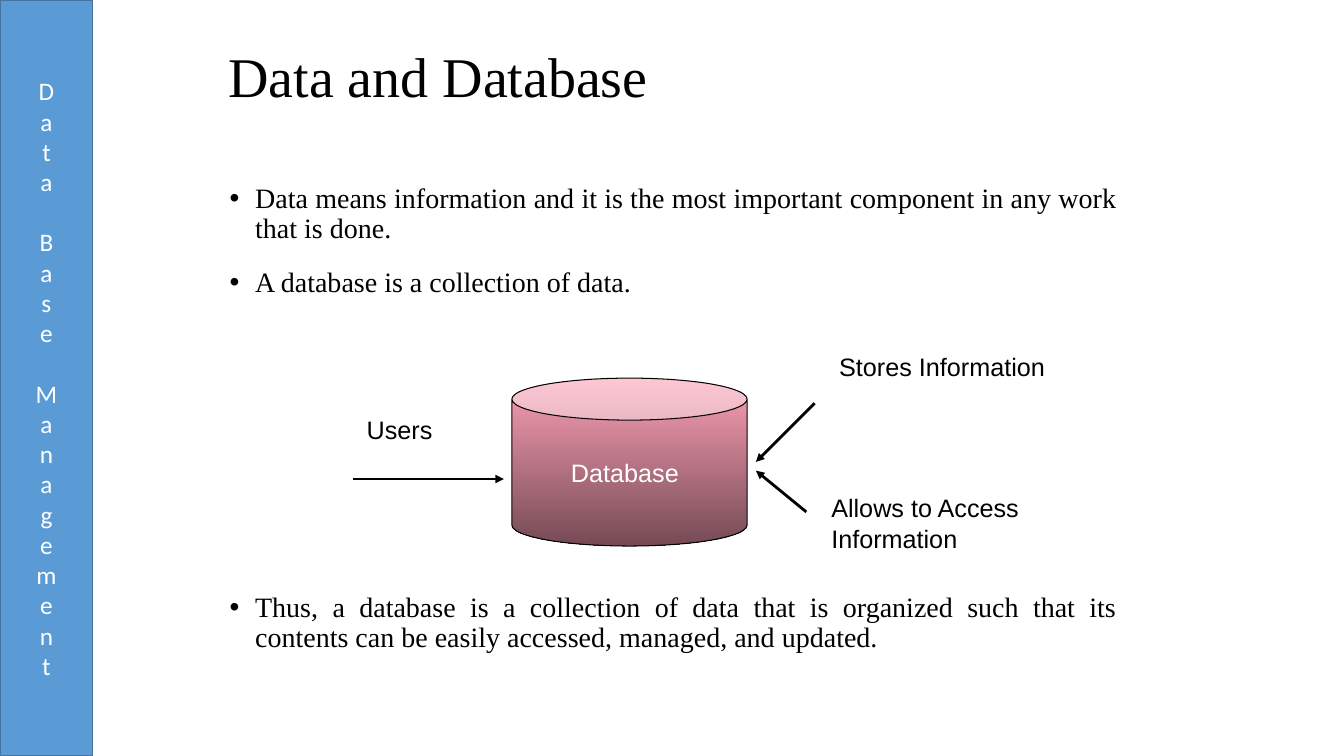
from lxml import etree
from pptx import Presentation
from pptx.dml.color import RGBColor
from pptx.enum.shapes import MSO_CONNECTOR, MSO_SHAPE
from pptx.enum.text import MSO_ANCHOR, PP_ALIGN
from pptx.oxml.ns import qn
from pptx.util import Cm, Pt

RECTANGLE, CAN = MSO_SHAPE.RECTANGLE, MSO_SHAPE.CAN
STRAIGHT = MSO_CONNECTOR.STRAIGHT
TOP, MIDDLE = MSO_ANCHOR.TOP, MSO_ANCHOR.MIDDLE
LEFT, CENTER, JUSTIFY = PP_ALIGN.LEFT, PP_ALIGN.CENTER, PP_ALIGN.JUSTIFY

BLACK = RGBColor(0x00, 0x00, 0x00)
WHITE = RGBColor(0xFF, 0xFF, 0xFF)
BLUE = RGBColor(0x5B, 0x9B, 0xD5)
DARK_BLUE = RGBColor(0x43, 0x73, 0x9E)
PINK = RGBColor(0xFC, 0xA0, 0xB6)
PLUM = RGBColor(0x75, 0x4A, 0x54)

SERIF, SANS, SIDE_FONT = "Times New Roman", "Arial", "Calibri"
BULLET_INDENT = Cm(0.64)


def write_text(frame, *texts, font=SANS, size=18, color=BLACK, align=LEFT,
               anchor=TOP, spacing=1.0, gap=0, bullet=None):
    """Fill a text frame with one paragraph for each text."""
    frame.word_wrap = True
    frame.vertical_anchor = anchor
    for index, text in enumerate(texts):
        para = frame.add_paragraph() if index else frame.paragraphs[0]
        if bullet:
            properties = para._p.get_or_add_pPr()
            properties.set("marL", str(BULLET_INDENT))
            properties.set("indent", str(-BULLET_INDENT))
            etree.SubElement(properties, qn("a:buFont")).set("typeface", SANS)
            etree.SubElement(properties, qn("a:buChar")).set("char", bullet)
        para.alignment = align
        para.line_spacing = spacing
        if index:
            para.space_before = Pt(gap)
        span = para.add_run()
        span.text = text
        span.font.name = font
        span.font.size = Pt(size)
        span.font.color.rgb = color


class SlideBuilder:
    def __init__(self, slide):
        self.slide = slide
        self.arrow_width = Pt(2)

    def text(self, left, top, width, height, *texts, **style):
        box = self.slide.shapes.add_textbox(Cm(left), Cm(top), Cm(width), Cm(height))
        write_text(box.text_frame, *texts, **style)

    def bullets(self, top, height, *texts):
        self.text(5.54, top, 22.86, height, *texts, font=SERIF, size=20,
                  align=JUSTIFY, spacing=0.9, gap=17, bullet="•")

    def shape(self, kind, left, top, width, height, line, line_width):
        shape = self.slide.shapes.add_shape(
            kind, Cm(left), Cm(top), Cm(width), Cm(height))
        shape.shadow.inherit = False
        shape.line.color.rgb = line
        shape.line.width = Pt(line_width)
        return shape

    def side_band(self, text):
        band = self.shape(RECTANGLE, 0, 0, 2.34, 19.05, DARK_BLUE, 1)
        band.fill.solid()
        band.fill.fore_color.rgb = BLUE
        write_text(band.text_frame, text, font=SIDE_FONT, color=WHITE,
                   align=CENTER, anchor=MIDDLE)
        band.element.find(".//" + qn("a:bodyPr")).set("vert", "wordArtVert")

    def database(self, text):
        can = self.shape(CAN, 12.9, 9.53, 5.93, 4.23, BLACK, 0.75)
        can.fill.gradient()
        can.fill.gradient_angle = 270
        for stop, color, position in zip(can.fill.gradient_stops, (PINK, PLUM), (0, 1)):
            stop.color.rgb = color
            stop.position = position
        can.text_frame.margin_left = Cm(1.49)
        write_text(can.text_frame, text, color=WHITE, anchor=MIDDLE)

    def arrow(self, start, end):
        arrow = self.slide.shapes.add_connector(
            STRAIGHT, *(Cm(value) for value in (*start, *end)))
        arrow.line.color.rgb = BLACK
        arrow.line.width = self.arrow_width
        line = arrow.line._get_or_add_ln()
        etree.SubElement(line, qn("a:tailEnd")).set("type", "triangle")
        etree.SubElement(arrow.element.spPr, qn("a:effectLst"))


def main():
    deck = Presentation()
    deck.slide_width, deck.slide_height = Cm(33.87), Cm(19.05)
    page = SlideBuilder(deck.slides.add_slide(deck.slide_layouts[6]))

    # Side band and title
    page.side_band("Data Base Management")
    page.text(5.51, 0.91, 22.86, 2.18, "Data and Database",
              font=SERIF, size=40, anchor=MIDDLE, spacing=0.9)

    # Statements above and below the diagram
    page.bullets(
        4.52, 3.4,
        "Data means information and it is the most important component in any work that is done.",
        "A database is a collection of data.")
    page.bullets(
        14.83, 1.9,
        "Thus, a database is a collection of data that is organized such that its "
        "contents can be easily accessed, managed, and updated.")

    # Diagram: database, labels and arrows
    page.database("Database")
    page.text(8.99, 10.31, 2.74, 1.02, "Users")
    page.text(20.7, 12.29, 6.58, 1.8, "Allows to Access Information")
    page.text(20.9, 8.74, 7.42, 1.02, "Stores Information")
    for start, end in (
        ((20.53, 10.16), (19.05, 11.64)),
        ((20.32, 12.9), (19.05, 11.86)),
        ((8.89, 12.07), (12.7, 12.07)),
    ):
        page.arrow(start, end)

    deck.save("out.pptx")


if __name__ == "__main__":
    main()
